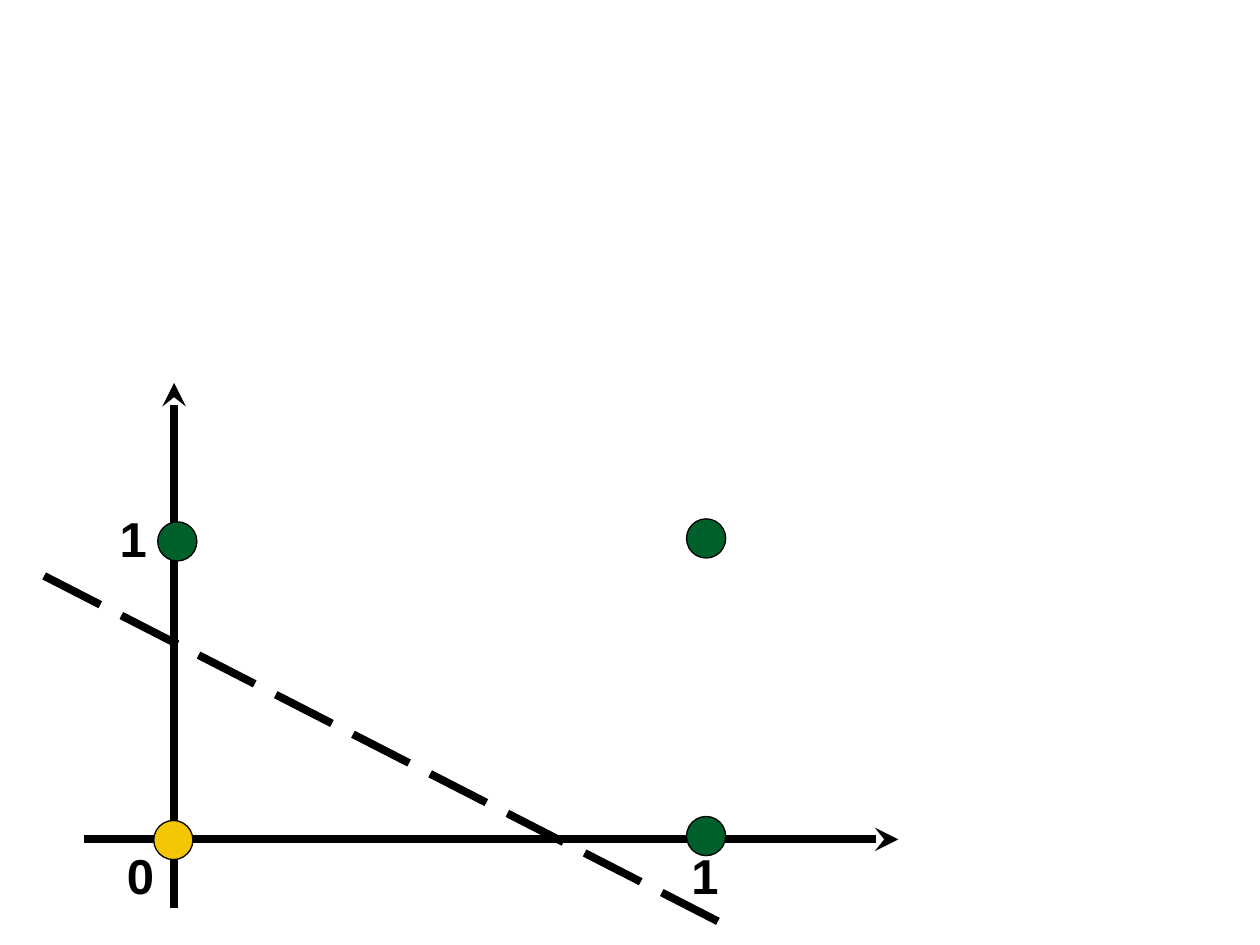
from lxml import etree
from pptx import Presentation
from pptx.dml.color import RGBColor
from pptx.enum.dml import MSO_LINE
from pptx.enum.shapes import MSO_CONNECTOR, MSO_SHAPE
from pptx.oxml.ns import qn
from pptx.util import Cm, Pt

STRAIGHT = MSO_CONNECTOR.STRAIGHT
OVAL = MSO_SHAPE.OVAL
LONG_DASH = MSO_LINE.LONG_DASH

COLORS = {"black": "000000", "green": "00602B", "yellow": "F3C503"}
DOT_SIZE = 0.79

deck = Presentation()
deck.slide_width, deck.slide_height = Cm(25.4), Cm(19.05)
page = deck.slides.add_slide(deck.slide_layouts[6])


def add_line(start, end, arrow=False, dash=None):
    line = page.shapes.add_connector(
        STRAIGHT, Cm(start[0]), Cm(start[1]), Cm(end[0]), Cm(end[1]))
    line.line.color.rgb = RGBColor.from_string(COLORS["black"])
    line.line.width = Pt(4.5)
    if dash:
        line.line.dash_style = dash
    if arrow:
        etree.SubElement(line.line._get_or_add_ln(), qn("a:tailEnd"), type="stealth")
    etree.SubElement(line._element.spPr, qn("a:effectLst"))


def add_label(text, left, top, size=28, bold=True, font="Arial", color="black"):
    box = page.shapes.add_textbox(Cm(left), Cm(top), Cm(1.07), Cm(1.45))
    box.text_frame.word_wrap = True
    span = box.text_frame.paragraphs[0].add_run()
    span.text = text
    span.font.name, span.font.size, span.font.bold = font, Pt(size), bold
    span.font.color.rgb = RGBColor.from_string(COLORS[color])


# Axes
add_line((3.51, 18.31), (3.51, 7.72), arrow=True)
add_line((1.7, 16.92), (18.11, 16.92), arrow=True)

# Data points
for left, top, color in [
    (3.18, 10.52, "green"),
    (3.1, 16.54, "yellow"),
    (13.84, 16.46, "green"),
    (13.84, 10.46, "green"),
]:
    dot = page.shapes.add_shape(OVAL, Cm(left), Cm(top), Cm(DOT_SIZE), Cm(DOT_SIZE))
    dot.shadow.inherit = False
    dot.fill.solid()
    dot.fill.fore_color.rgb = RGBColor.from_string(COLORS[color])
    dot.line.color.rgb = RGBColor.from_string(COLORS["black"])
    dot.line.width = Pt(0.75)

# Separating line
add_line((0.89, 11.61), (14.76, 18.72), dash=LONG_DASH)

# Axis labels
add_label("0", 2.31, 16.92)
add_label("1", 2.16, 10.13)
add_label("1", 13.69, 16.92)

deck.save("out.pptx")
